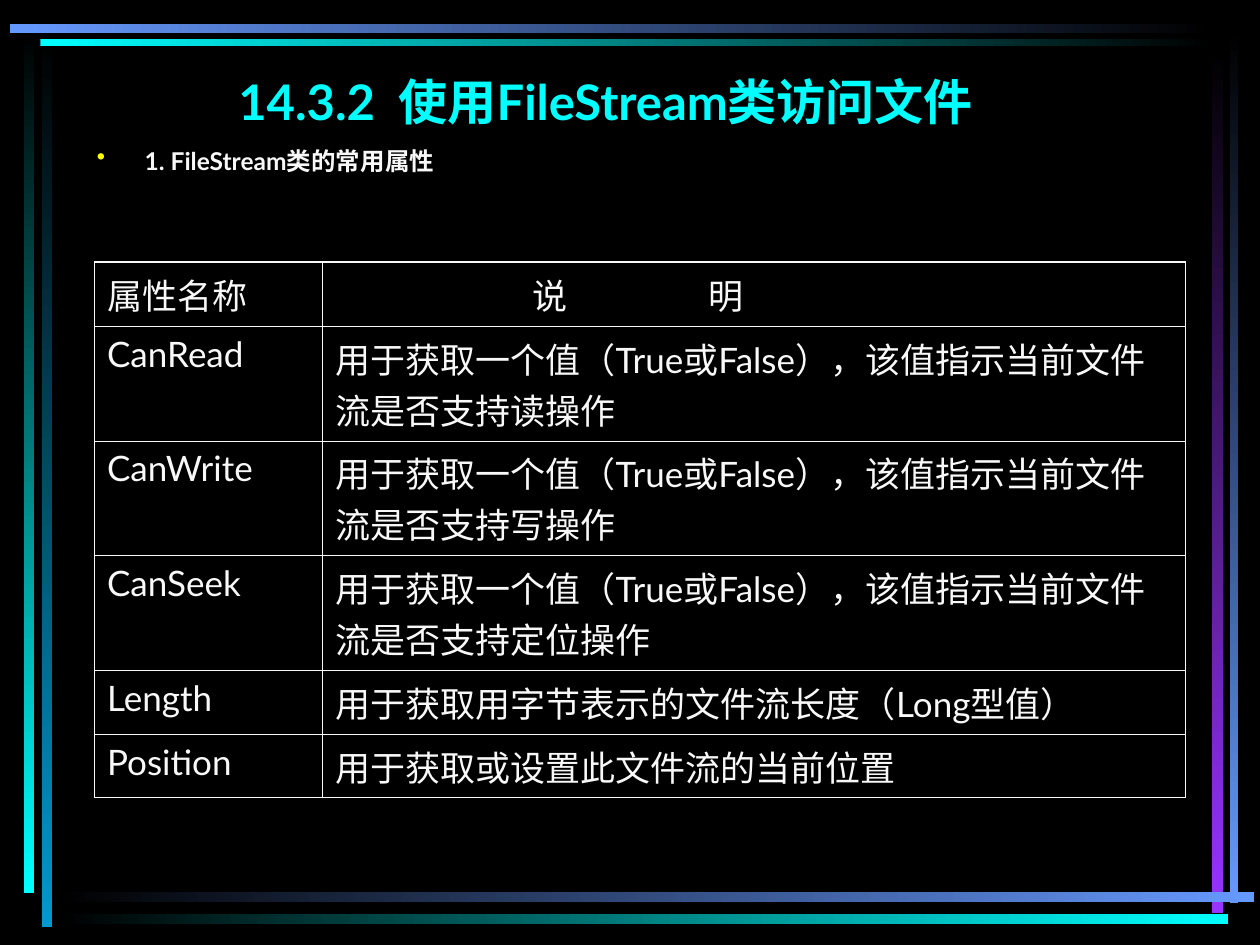
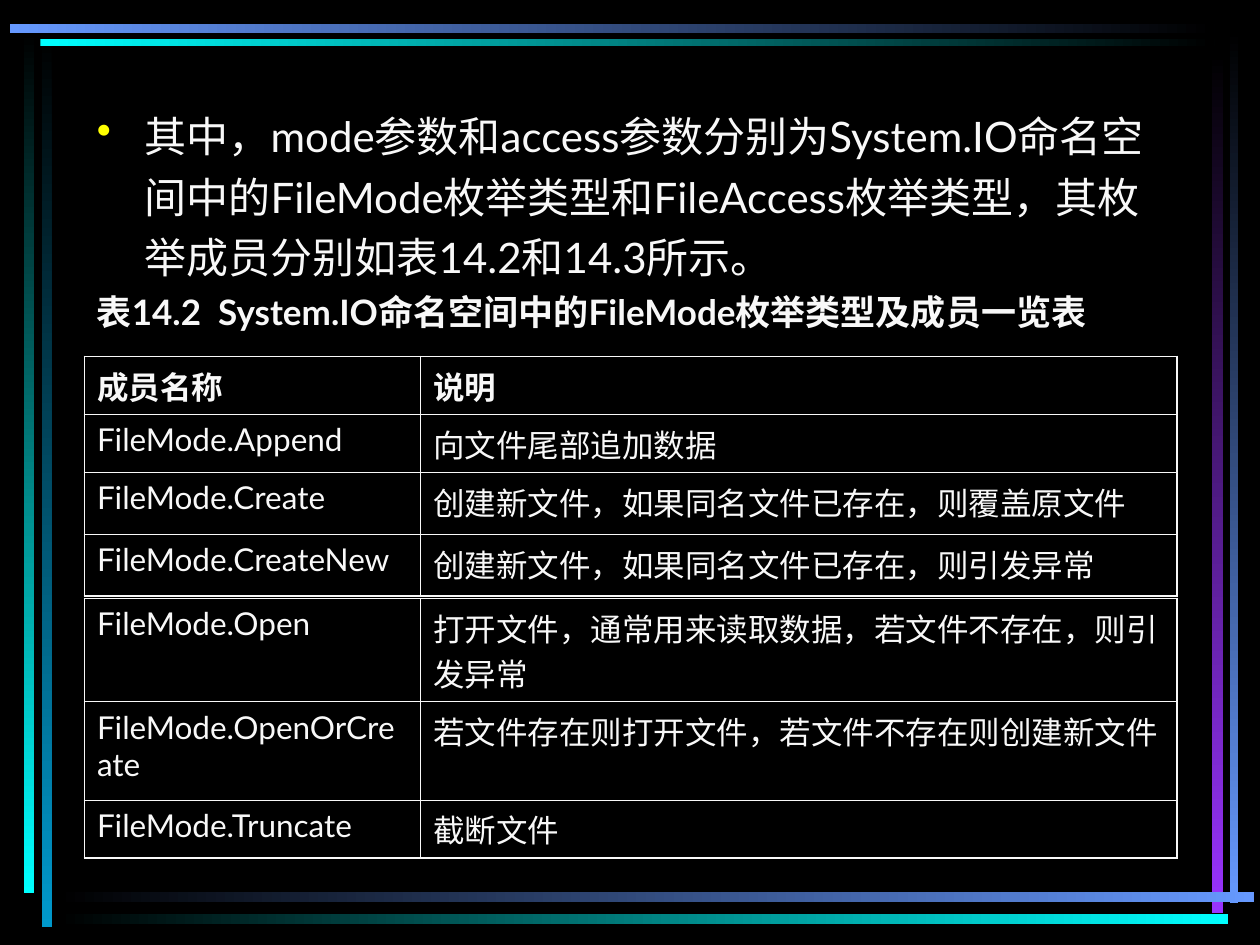
from dataclasses import dataclass

from lxml import etree
from pptx import Presentation
from pptx.dml.color import RGBColor
from pptx.enum.shapes import MSO_SHAPE
from pptx.enum.text import MSO_ANCHOR, PP_ALIGN
from pptx.oxml.ns import qn
from pptx.util import Inches, Pt

RECTANGLE = MSO_SHAPE.RECTANGLE
TOP = MSO_ANCHOR.TOP
CENTER = PP_ALIGN.CENTER
LEFT = PP_ALIGN.LEFT

FONT = "Lato"
BLACK = "000000"
WHITE = "F8F8F8"
CYAN = "00FFFF"
BLUE = "6699FF"
TEAL = "0099CC"
PURPLE = "9933FF"
YELLOW = "FFFF00"
RIGHTWARD, DOWNWARD = 0, 270
HANGING = 0.38
OUTER_LINE, INNER_LINE = 1.08, 0.45


@dataclass(frozen=True)
class Box:
    """A rectangle in inches."""

    left: float
    top: float
    width: float
    height: float

    def lengths(self) -> tuple:
        """Return the four sides as lengths."""
        return tuple(Inches(v) for v in (self.left, self.top, self.width, self.height))


@dataclass(frozen=True)
class FrameBar:
    """A bar of the slide frame that fades between two colours."""

    box: Box
    start: str
    end: str
    direction: int


@dataclass(frozen=True)
class Line:
    """A paragraph and its style."""

    text: str
    size: float
    color: str = WHITE
    bold: bool = False
    align: PP_ALIGN = LEFT
    before: float = 0
    spacing: float = 1.0
    hanging: bool = False
    bullet: bool = False
    tabs: tuple = ()


@dataclass(frozen=True)
class MemberTable:
    """A two-column table of members and their meaning."""

    left: float
    top: float
    columns: tuple
    row_heights: tuple
    rows: tuple
    size: float
    before: float
    bold_header: bool = False
    header_tabs: tuple = ()


FRAME = (
    FrameBar(Box(0.33, 0.28, 0.08, 7.08), BLACK, TEAL, DOWNWARD),
    FrameBar(Box(0.19, 0.25, 0.08, 6.84), BLACK, CYAN, DOWNWARD),
    FrameBar(Box(9.76, 0.24, 0.07, 6.93), BLACK, BLUE, DOWNWARD),
    FrameBar(Box(9.62, 0.42, 0.09, 6.83), BLACK, PURPLE, DOWNWARD),
    FrameBar(Box(0.45, 7.08, 9.5, 0.08), BLACK, BLUE, RIGHTWARD),
    FrameBar(Box(0.45, 7.25, 9.3, 0.08), BLACK, CYAN, RIGHTWARD),
    FrameBar(Box(0.32, 0.31, 9.32, 0.06), CYAN, BLACK, RIGHTWARD),
    FrameBar(Box(0.08, 0.19, 9.56, 0.07), BLUE, BLACK, RIGHTWARD),
)

ABILITY = "用于获取一个值（True或False），该值指示当前文件流是否支持{}操作"
PROPERTIES = MemberTable(
    0.75, 2.08, (1.81, 6.85), (0.51, 0.91, 0.91, 0.91, 0.51, 0.5),
    (
        ("属性名称", "\t说\t明"),
        ("CanRead", ABILITY.format("读")),
        ("CanWrite", ABILITY.format("写")),
        ("CanSeek", ABILITY.format("定位")),
        ("Length", "用于获取用字节表示的文件流长度（Long型值）"),
        ("Position", "用于获取或设置此文件流的当前位置"),
    ),
    size=20, before=5, header_tabs=(1.57, 2.96),
)
MODES_CREATING = MemberTable(
    0.67, 2.83, (2.67, 6), (0.46, 0.46, 0.49, 0.49),
    (
        ("成员名称", "说明"),
        ("FileMode.Append", "向文件尾部追加数据"),
        ("FileMode.Create", "创建新文件，如果同名文件已存在，则覆盖原文件"),
        ("FileMode.CreateNew", "创建新文件，如果同名文件已存在，则引发异常"),
    ),
    size=18, before=4.5, bold_header=True,
)
MODES_OPENING = MemberTable(
    0.67, 4.75, (2.67, 6), (0.82, 0.78, 0.46),
    (
        ("FileMode.Open", "打开文件，通常用来读取数据，若文件不存在，则引发异常"),
        ("FileMode.OpenOrCreate", "若文件存在则打开文件，若文件不存在则创建新文件"),
        ("FileMode.Truncate", "截断文件"),
    ),
    size=18, before=4.5,
)


def rgb(color: str) -> RGBColor:
    """Turn a hex string into a colour."""
    return RGBColor.from_string(color)


def add_xml(parent, tag: str, **attributes: str):
    """Append a DrawingML element."""
    return etree.SubElement(parent, qn(f"a:{tag}"), attributes)


def write_line(paragraph, line: Line) -> None:
    """Fill and format one paragraph."""
    paragraph.text = line.text
    paragraph.alignment = line.align
    paragraph.line_spacing = line.spacing
    paragraph.space_before = Pt(line.before)
    properties = paragraph._p.get_or_add_pPr()
    if line.hanging:
        properties.set("marL", str(Inches(HANGING)))
        properties.set("indent", str(-Inches(HANGING)))
    if line.bullet:
        add_xml(add_xml(properties, "buClr"), "srgbClr", val=YELLOW)
        add_xml(properties, "buChar", char="•")
    if line.tabs:
        stops = add_xml(properties, "tabLst")
        for position in line.tabs:
            add_xml(stops, "tab", pos=str(Inches(position)), algn="l")
    for run in paragraph.runs:
        run.font.name = FONT
        run.font.size = Pt(line.size)
        run.font.bold = line.bold
        run.font.color.rgb = rgb(line.color)


def add_text(slide, box: Box, *lines: Line) -> None:
    """Add a wrapped text box with one paragraph per line."""
    frame = slide.shapes.add_textbox(*box.lengths()).text_frame
    frame.word_wrap = True
    frame.vertical_anchor = TOP
    frame.text = "\n".join(line.text for line in lines)
    for paragraph, line in zip(frame.paragraphs, lines):
        write_line(paragraph, line)


def add_bar(slide, bar: FrameBar) -> None:
    """Draw one fading bar of the frame."""
    shape = slide.shapes.add_shape(RECTANGLE, *bar.box.lengths())
    shape.shadow.inherit = False
    shape.line.fill.background()
    shape.fill.gradient()
    shape.fill.gradient_angle = bar.direction
    for stop, color, position in zip(shape.fill.gradient_stops, (bar.start, bar.end), (0, 1)):
        stop.color.rgb = rgb(color)
        stop.position = position


def add_framed_slide(deck):
    """Add a black blank slide with the frame."""
    slide = deck.slides.add_slide(deck.slide_layouts[6])
    slide.background.fill.solid()
    slide.background.fill.fore_color.rgb = rgb(BLACK)
    for bar in FRAME:
        add_bar(slide, bar)
    return slide


def set_borders(cell, outer_sides: dict[str, bool]) -> None:
    """Draw the cell borders, heavier along the table edge."""
    properties = cell._tc.get_or_add_tcPr()
    for side, is_outer in outer_sides.items():
        width = Pt(OUTER_LINE if is_outer else INNER_LINE)
        border = add_xml(properties, f"ln{side}", w=str(width))
        add_xml(add_xml(border, "solidFill"), "srgbClr", val=WHITE)


def add_member_table(slide, members: MemberTable) -> None:
    """Add a table of members."""
    row_count, column_count = len(members.rows), len(members.columns)
    box = Box(members.left, members.top, sum(members.columns), sum(members.row_heights))
    table = slide.shapes.add_table(row_count, column_count, *box.lengths()).table
    table.first_row = table.horz_banding = False
    for column, width in zip(table.columns, members.columns):
        column.width = Inches(width)
    for r, (height, texts) in enumerate(zip(members.row_heights, members.rows)):
        table.rows[r].height = Inches(height)
        for c, text in enumerate(texts):
            cell = table.cell(r, c)
            line = Line(
                text, members.size, before=members.before,
                bold=members.bold_header and r == 0,
                tabs=members.header_tabs if r == 0 and c == 1 else (),
            )
            write_line(cell.text_frame.paragraphs[0], line)
            set_borders(cell, {
                "L": c == 0, "R": c == column_count - 1,
                "T": r == 0, "B": r == row_count - 1,
            })
            cell.fill.background()


def add_properties_slide(deck) -> None:
    """Build the slide on FileStream properties."""
    slide = add_framed_slide(deck)
    add_text(slide, Box(0.43, 0.52, 8.75, 0.92),
             Line("14.3.2  使用FileStream类访问文件", 28, CYAN, bold=True, align=CENTER))
    add_text(slide, Box(0.67, 1.17, 8.66, 0.5),
             Line("1. FileStream类的常用属性", 14, bold=True, before=5, spacing=0.7,
                  hanging=True, bullet=True))
    add_member_table(slide, PROPERTIES)


def add_modes_slide(deck) -> None:
    """Build the slide on FileMode members."""
    slide = add_framed_slide(deck)
    add_text(slide, Box(0.67, 0.75, 8.66, 2.08),
             Line("其中，mode参数和access参数分别为System.IO命名空间中的FileMode枚举类型和"
                  "FileAccess枚举类型，其枚举成员分别如表14.2和14.3所示。", 24,
                  before=6, spacing=1.2, hanging=True, bullet=True),
             Line("表14.2  System.IO命名空间中的FileMode枚举类型及成员一览表", 20,
                  bold=True, before=5, hanging=True))
    add_member_table(slide, MODES_CREATING)
    add_member_table(slide, MODES_OPENING)


def main() -> None:
    """Build and save the deck."""
    deck = Presentation()
    deck.slide_width, deck.slide_height = Inches(10), Inches(7.5)
    add_properties_slide(deck)
    add_modes_slide(deck)
    deck.save("out.pptx")


if __name__ == "__main__":
    main()
